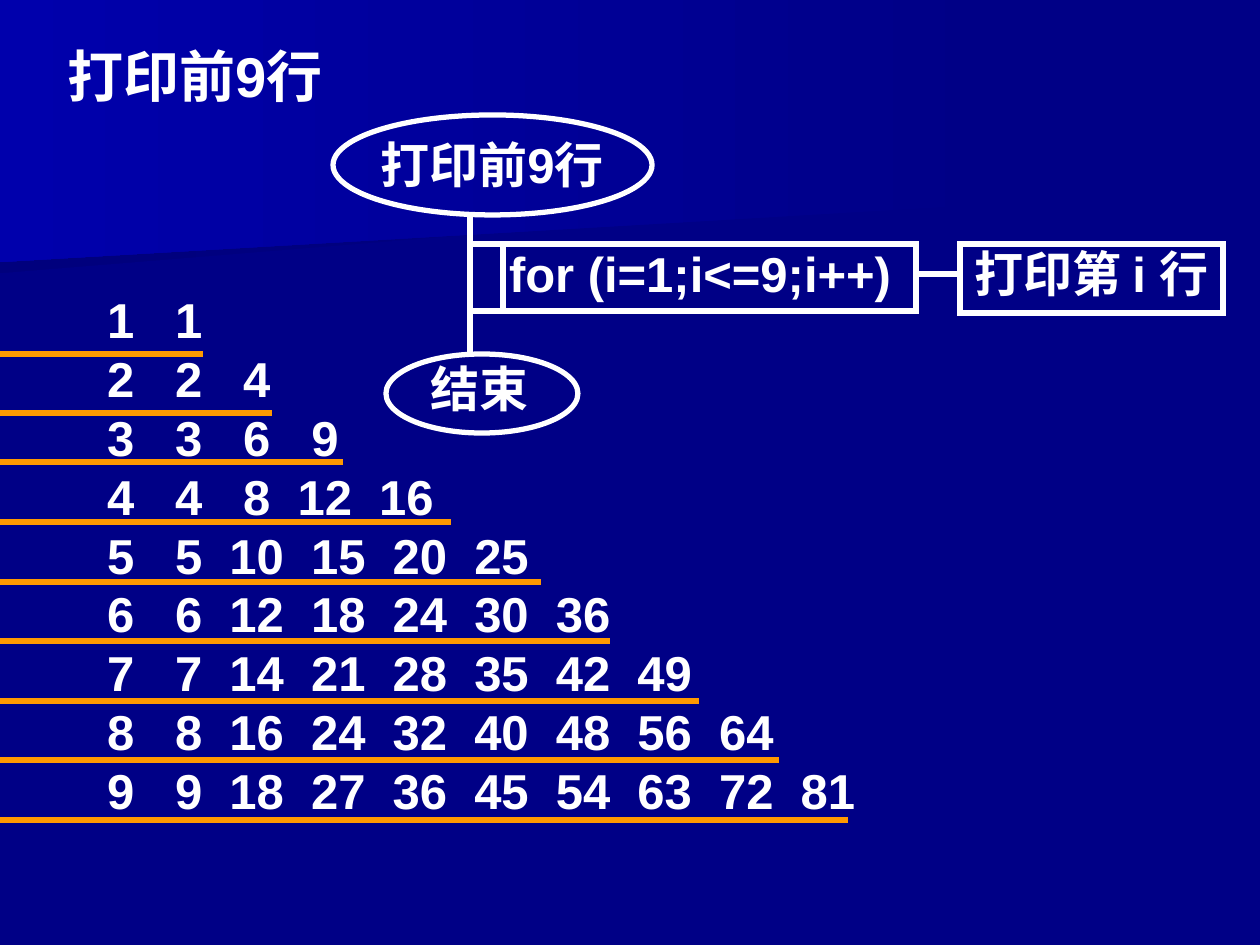
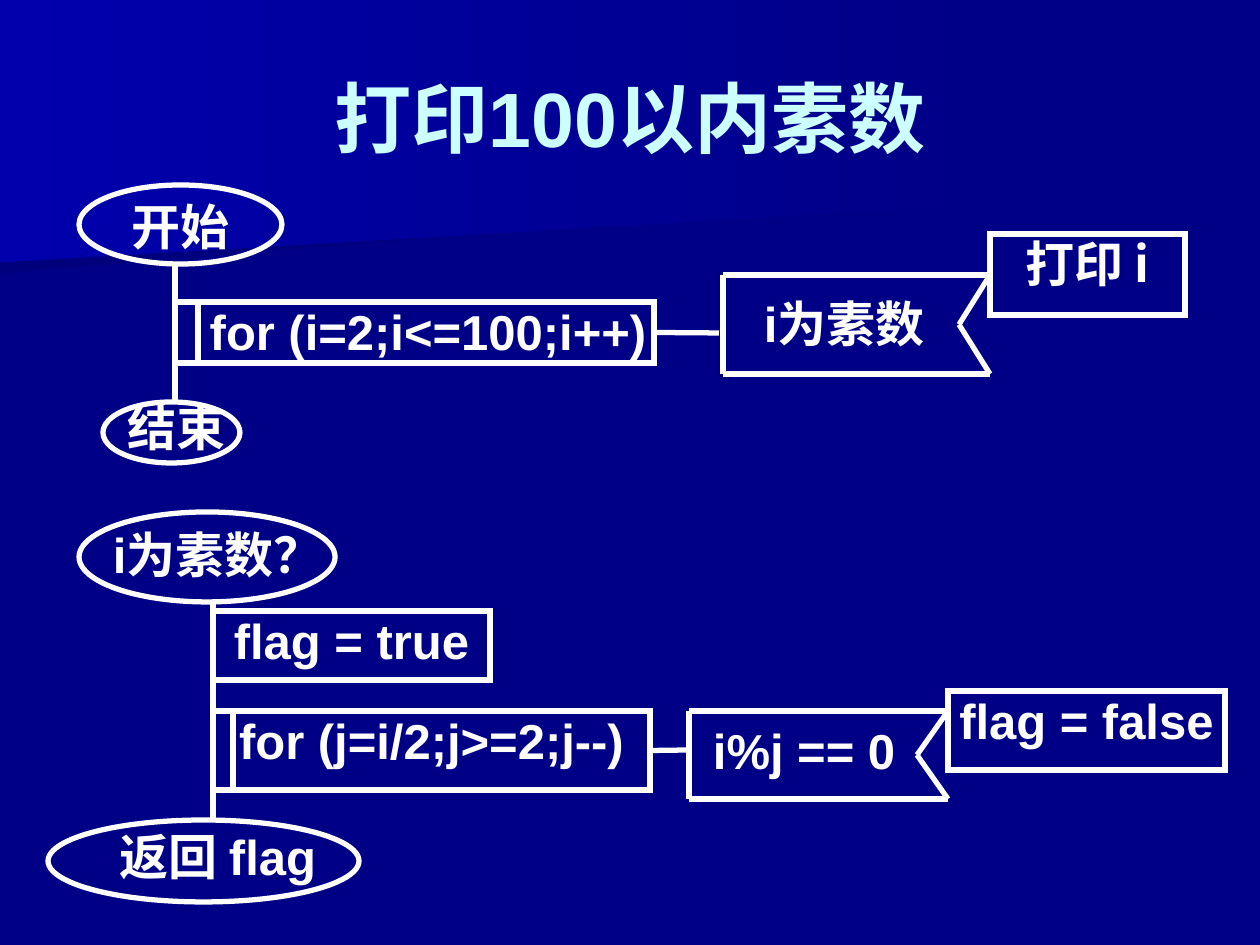
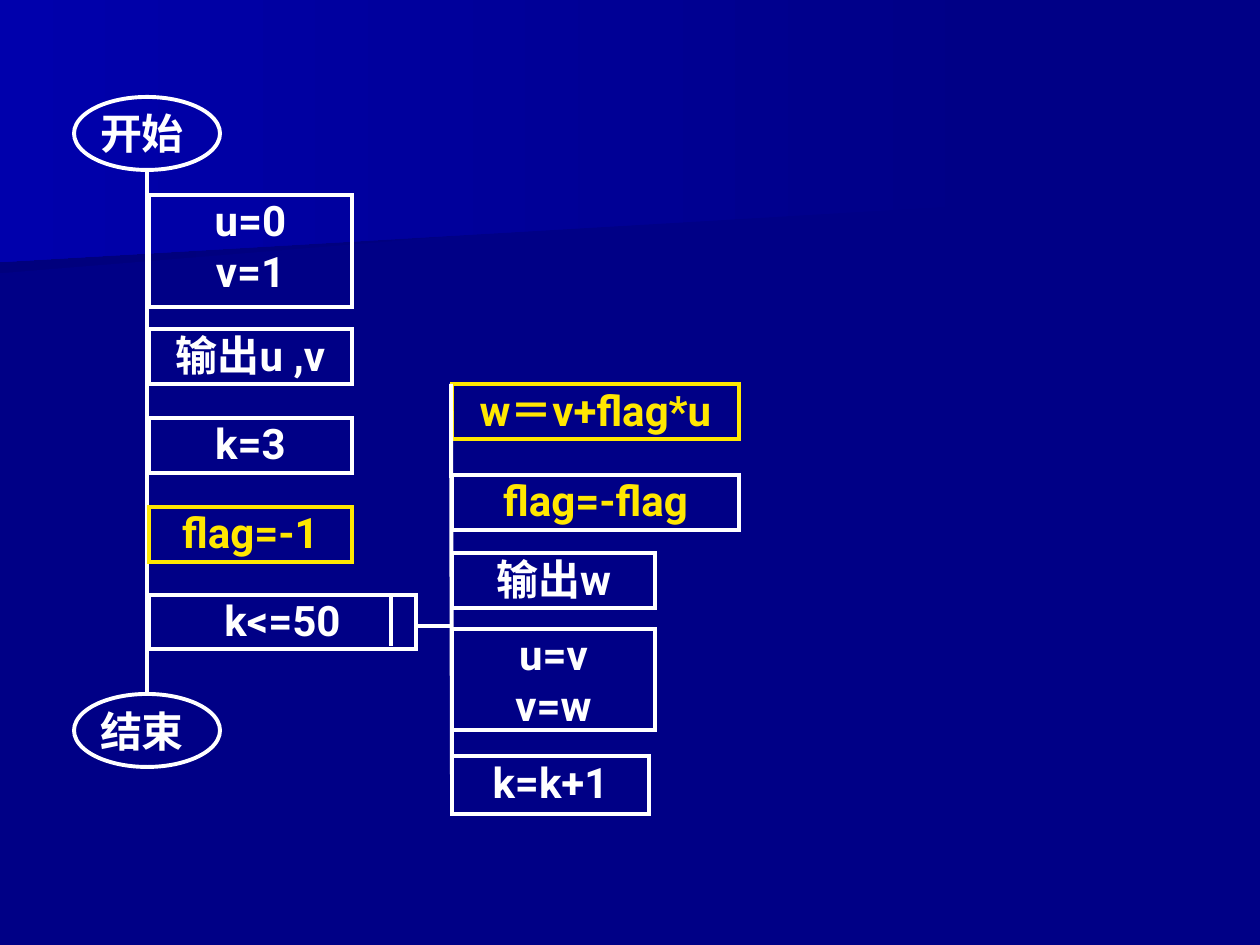
from lxml.etree import SubElement
from pptx import Presentation
from pptx.dml.color import RGBColor
from pptx.enum.shapes import MSO_CONNECTOR, MSO_SHAPE
from pptx.enum.text import MSO_ANCHOR, PP_ALIGN
from pptx.oxml.ns import qn
from pptx.util import Emu, Pt

NAVY = RGBColor(0x00, 0x00, 0x86)
DEEP = RGBColor(0x00, 0x00, 0x7D)
BLUE = RGBColor(0x00, 0x00, 0xAC)
WHITE = RGBColor(0xFF, 0xFF, 0xFF)
CYAN = RGBColor(0xCC, 0xFF, 0xFF)
ORANGE = RGBColor(0xFF, 0x99, 0x00)
YELLOW = RGBColor(0xFF, 0xE7, 0x01)
CJK_FONT = "Noto Sans CJK SC"
PX_PER_INCH = 126


def px(n):
    return Emu(round(n * 914400 / PX_PER_INCH))


def write(tf, text, font, size, color=WHITE, align=PP_ALIGN.CENTER,
          anchor=MSO_ANCHOR.TOP, inset=(0, 0, 0, 0)):
    """Fill a text frame, one paragraph for each line of text."""
    tf.word_wrap = True
    tf.vertical_anchor = anchor
    tf.margin_left, tf.margin_top, tf.margin_right, tf.margin_bottom = map(px, inset)
    for i, line in enumerate(text.split("\n")):
        p = tf.paragraphs[0] if i == 0 else tf.add_paragraph()
        p.alignment = align
        p.line_spacing = Pt(size * 1.2)
        r = p.add_run()
        r.text = line
        r.font.name, r.font.size, r.font.bold = font, Pt(size), True
        r.font.color.rgb = color
        SubElement(r.font._element, qn("a:ea"), typeface=CJK_FONT)


def set_tabs(p, stops):
    """Left tab stops, in px from the start of the paragraph."""
    tabs = SubElement(p._p.get_or_add_pPr(), qn("a:tabLst"))
    for stop in stops:
        SubElement(tabs, qn("a:tab"), pos=str(px(stop)), algn="l")


class Deck:
    def __init__(self):
        self.prs = Presentation()
        self.prs.slide_width, self.prs.slide_height = px(1260), px(945)

    def new_slide(self, font="Arial", size=28, weight=3):
        self.font, self.size, self.weight = font, size, weight
        self.s = self.prs.slides.add_slide(self.prs.slide_layouts[6])
        bg = self.s.background.fill
        bg.solid()
        bg.fore_color.rgb = NAVY
        self.band([(980, 193), (0, 273), (0, 127), (981, 127)], DEEP)
        self.band([(998, 204), (0, 262), (0, 0), (998, 0)], BLUE)

    def band(self, points, color):
        fb = self.s.shapes.build_freeform(*points[0], scale=px(1))
        fb.add_line_segments(points[1:], close=True)
        sp = fb.convert_to_shape()
        sp.shadow.inherit = False
        sp.line.fill.background()
        sp.fill.gradient()
        sp.fill.gradient_angle = 180
        for stop, c in zip(sp.fill.gradient_stops, (NAVY, color)):
            stop.color.rgb = c

    def text(self, x, y, w, h, text, **fmt):
        sp = self.s.shapes.add_textbox(px(x), px(y), px(w), px(h))
        write(sp.text_frame, text, **{"font": self.font, "size": self.size, **fmt})
        return sp

    def outline(self, kind, x, y, w, h, color=WHITE):
        sp = self.s.shapes.add_shape(kind, px(x), px(y), px(w), px(h))
        sp.shadow.inherit = False
        sp.fill.background()
        sp.line.color.rgb = color
        sp.line.width = Pt(self.weight)
        SubElement(sp.line._get_or_add_ln(), qn("a:miter"), lim="800000")
        return sp

    def box(self, x, y, w, h, text, line=WHITE, **fmt):
        sp = self.outline(MSO_SHAPE.RECTANGLE, x, y, w, h, line)
        write(sp.text_frame, text, **{"font": self.font, "size": self.size, **fmt})
        return sp

    def oval(self, x, y, w, h, text, label):
        """An ellipse whose text sits in its own label area."""
        self.text(*label, text)
        return self.outline(MSO_SHAPE.OVAL, x, y, w, h)

    def line(self, x1, y1, x2, y2, color=WHITE, start=None, end=None):
        """start and end are (shape, connection site) pairs."""
        c = self.s.shapes.add_connector(MSO_CONNECTOR.STRAIGHT,
                                        px(x1), px(y1), px(x2), px(y2))
        c.line.color.rgb = color
        c.line.width = Pt(self.weight)
        SubElement(c._element.spPr, qn("a:effectLst"))
        if start:
            c.begin_connect(*start)
        if end:
            c.end_connect(*end)

    def branch(self, left, top, right, bottom, notch):
        """Condition frame with a notched right side."""
        middle = (top + bottom) / 2
        points = [(right, top), (left, top), (left, bottom), (right, bottom),
                  (notch, middle), (right, top)]
        for a, b in zip(points, points[1:]):
            self.line(*a, *b)


def times_table(d):
    d.new_slide()
    # Number triangle: row number, then its products
    digit, one_gap, two_gap = 27.2, 40.9, 27.2
    rows = [[str(i)] + [str(i * j) for j in range(1, i + 1)] for i in range(1, 10)]
    sp = d.text(94, 284, 873, 543, "\n".join("\t".join(row) for row in rows),
                align=PP_ALIGN.LEFT, inset=(13, 6, 13, 6))
    for p, row in zip(sp.text_frame.paragraphs, rows):
        stops, x = [], digit
        for n in row[1:]:
            x += one_gap if len(n) == 1 else two_gap
            stops.append(x)
            x += digit * len(n)
        set_tabs(p, stops)
    d.text(54, 35, 407, 81, "打印前9行", size=32, align=PP_ALIGN.LEFT,
           inset=(13, 6, 13, 6))

    # Flow
    d.line(470, 214, 470, 354)
    d.oval(333, 115, 319, 100, "打印前9行", (364, 135, 256, 40))
    d.oval(386, 354, 192, 79, "结束", (402, 359, 155, 74))
    d.box(960, 244, 263, 69, "打印第 i 行")
    d.box(470, 244, 446, 67, "for (i=1;i<=9;i++)", inset=(14, 0, 0, 0))
    d.line(503, 244, 503, 309)
    d.line(917, 274, 960, 274)

    # Row underlines
    ends = (203, 272, 343, 451, 541, 610, 699, 779, 848)
    levels = (354, 413, 462, 522, 582, 641, 701, 760, 820)
    for x, y in zip(ends, levels):
        d.line(0, y, x, y, ORANGE)


def primes(d):
    d.new_slide()
    d.text(63, 38, 1134, 158, "打印100以内素数", size=44, color=CYAN,
           anchor=MSO_ANCHOR.MIDDLE, inset=(13, 6, 13, 6))

    # Main loop
    d.line(175, 263, 175, 402)
    loop = d.box(175, 302, 479, 61, "for (i=2;i<=100;i++)", inset=(27, 0, 0, 0))
    d.oval(79, 185, 203, 79, "开始", (91, 197, 179, 54))
    d.oval(103, 402, 137, 61, "结束", (54, 398, 244, 59))
    d.line(198, 304, 198, 360)
    d.line(654, 333, 719, 333, start=(loop, 3))
    d.box(990, 234, 195, 81, "打印 i", font=CJK_FONT)
    d.text(733, 294, 222, 57, "i为素数")
    d.branch(723, 275, 990, 374, 959)

    # Prime test
    d.line(213, 601, 213, 820)
    d.oval(79, 512, 256, 90, "i为素数？", (44, 525, 347, 63))
    d.oval(48, 820, 311, 82, "返回 flag", (44, 827, 348, 64))
    d.box(948, 691, 277, 79, "flag = false")
    loop = d.box(213, 711, 437, 79, "for (j=i/2;j>=2;j--)")
    d.line(233, 711, 233, 790)
    d.line(650, 750, 687, 750, start=(loop, 3))
    d.box(213, 611, 277, 69, "flag = true")
    d.text(699, 721, 214, 57, "i%j == 0", align=PP_ALIGN.JUSTIFY,
           inset=(14, 0, 0, 0))
    d.branch(689, 711, 948, 799, 917)


def series(d):
    d.new_slide(font="Roboto", size=24, weight=2.25)
    # Main column
    d.box(149, 595, 267, 54, "k<=50")
    d.line(391, 595, 391, 646)
    d.line(416, 626, 451, 626)
    d.oval(74, 97, 146, 73, "开始", (77, 108, 130, 50))
    end = d.oval(74, 694, 146, 73, "结束", (77, 706, 130, 50))
    d.line(147, 169, 147, 694, end=(end, 0))
    for y, h, text, color in ((195, 112, "u=0\nv=1", WHITE),
                              (329, 55, "输出u ,v", WHITE),
                              (418, 55, "k=3", WHITE),
                              (507, 55, "flag=-1", YELLOW)):
        d.box(149, y, 203, h, text, line=color, color=color)

    # Loop body
    for y, w, h, text, line, color in (
            (384, 287, 55, "w＝v+flag*u", YELLOW, YELLOW),
            (475, 287, 55, "flag=-flag", WHITE, YELLOW),
            (553, 203, 55, "输出w", WHITE, WHITE),
            (629, 203, 101, "u=v\nv=w", WHITE, WHITE),
            (756, 197, 58, "k=k+1", WHITE, WHITE)):
        d.box(452, y, w, h, text, line=line, color=color)
    d.line(451, 384, 452, 776)


def main():
    d = Deck()
    times_table(d)
    primes(d)
    series(d)
    d.prs.save("out.pptx")


if __name__ == "__main__":
    main()
